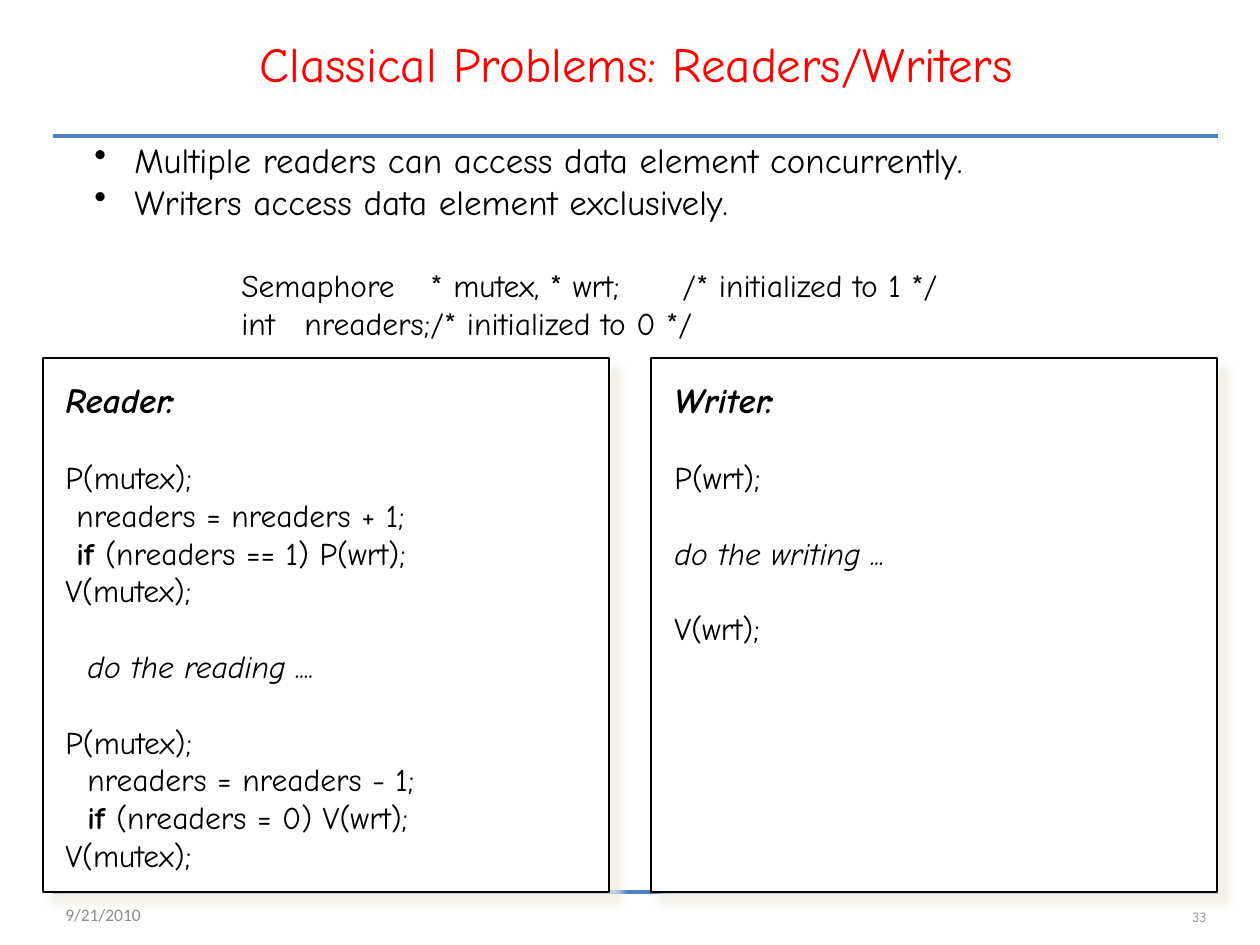
from dataclasses import dataclass

from lxml import etree
from pptx import Presentation
from pptx.dml.color import RGBColor
from pptx.enum.shapes import MSO_CONNECTOR, MSO_SHAPE
from pptx.enum.text import MSO_ANCHOR, PP_ALIGN
from pptx.oxml.ns import qn
from pptx.util import Pt

EMU_PER_PX = 914400 / 126
STRAIGHT = MSO_CONNECTOR.STRAIGHT
RECTANGLE = MSO_SHAPE.RECTANGLE
TOP, MIDDLE = MSO_ANCHOR.TOP, MSO_ANCHOR.MIDDLE
LEFT, CENTER, RIGHT = PP_ALIGN.LEFT, PP_ALIGN.CENTER, PP_ALIGN.RIGHT

BLACK, WHITE, RED, GREY = "000000", "FFFFFF", "FF0000", "8C8C8C"
RULE_BLUE, SHADOW = "4F81BD", "EEECE1"
HAND_FONT = "Comic Neue"
BLANK_LINE = 21.6  # points, one line of 18 point text
SPACE = 11  # px, one code indent step


@dataclass(frozen=True)
class Run:
    text: str
    bold: bool = False
    italic: bool = False


@dataclass(frozen=True)
class Line:
    runs: tuple[Run, ...]
    size: int = 18
    indent: int = 0
    gap_before: float = 0
    bullet: bool = False
    tabs: tuple[int, ...] = ()
    align: PP_ALIGN = LEFT
    font: str = HAND_FONT
    color: str = BLACK


@dataclass(frozen=True)
class Box:
    left: int
    top: int
    width: int
    height: int


@dataclass(frozen=True)
class TextBlock:
    box: Box
    lines: tuple[Line, ...]
    anchor: MSO_ANCHOR = TOP


def px(length: int) -> int:
    return round(length * EMU_PER_PX)


def rgb(color: str) -> RGBColor:
    return RGBColor.from_string(color)


def frame(box: Box) -> tuple[int, ...]:
    return px(box.left), px(box.top), px(box.width), px(box.height)


def code(text: str, **options) -> Line:
    """A line made of a single plain run."""
    return Line((Run(text),), **options)


def heading(text: str) -> Line:
    return Line((Run(text, bold=True, italic=True),), size=20)


def action(text: str, indent: int = 0) -> Line:
    return Line((Run(text, italic=True),), indent=indent, gap_before=BLANK_LINE)


def condition(text: str, indent: int) -> Line:
    return Line((Run("if ", bold=True), Run(text)), indent=indent)


def draw_rule(slide, top: int) -> None:
    rule = slide.shapes.add_connector(STRAIGHT, px(53), px(top), px(1218), px(top))
    rule.line.color.rgb = rgb(RULE_BLUE)
    rule.line.width = Pt(2)
    etree.SubElement(rule._element.spPr, qn("a:effectLst"))


def draw_panel(slide, box: Box) -> None:
    panel = slide.shapes.add_shape(RECTANGLE, *frame(box))
    panel.fill.solid()
    panel.fill.fore_color.rgb = rgb(WHITE)
    panel.line.color.rgb = rgb(BLACK)
    panel.line.width = Pt(1)
    panel.shadow.inherit = False
    effects = panel._element.spPr.find(qn("a:effectLst"))
    shadow = etree.SubElement(
        effects, qn("a:outerShdw"), blurRad=str(Pt(5)), dist=str(Pt(8.5)),
        dir=str(45 * 60000), algn="tl", rotWithShape="0")
    color = etree.SubElement(shadow, qn("a:srgbClr"), val=SHADOW)
    etree.SubElement(color, qn("a:alpha"), val="75000")


def format_paragraph(paragraph, line: Line) -> None:
    paragraph.alignment = line.align
    paragraph.space_before = Pt(line.gap_before)
    properties = paragraph._p.get_or_add_pPr()
    properties.set("marL", str(px(line.indent)))
    properties.set("indent", str(-px(line.indent) if line.bullet else 0))
    if line.bullet:
        etree.SubElement(properties, qn("a:buChar"), char="•")
    if line.tabs:
        tab_list = etree.SubElement(properties, qn("a:tabLst"))
        for stop in line.tabs:
            etree.SubElement(tab_list, qn("a:tab"), pos=str(px(stop)), algn="l")


def draw_text(slide, block: TextBlock) -> None:
    text_frame = slide.shapes.add_textbox(*frame(block.box)).text_frame
    text_frame.word_wrap = True
    text_frame.vertical_anchor = block.anchor
    for index, line in enumerate(block.lines):
        paragraph = text_frame.add_paragraph() if index else text_frame.paragraphs[0]
        format_paragraph(paragraph, line)
        for item in line.runs:
            run = paragraph.add_run()
            run.text = item.text
            run.font.name = line.font
            run.font.size = Pt(line.size)
            run.font.bold = item.bold
            run.font.italic = item.italic
            run.font.color.rgb = rgb(line.color)


RULE_TOPS = (136, 892)
PANELS = tuple(Box(left, 358, 566, 534) for left in (43, 651))

TITLE = TextBlock(Box(53, 0, 1166, 126), (
    code("Classical Problems: Readers/Writers", size=28, align=CENTER, color=RED),
), MIDDLE)

RULES_OF_ACCESS = TextBlock(Box(82, 132, 950, 96), tuple(
    code(text, size=20, indent=40, bullet=True) for text in (
        "Multiple readers can access data element concurrently.",
        "Writers access data element exclusively.",
    )))

DECLARATIONS = TextBlock(Box(229, 260, 759, 88), (
    code("Semaphore\t* mutex, * wrt;\t/* initialized to 1 */", tabs=(186, 395)),
    code("int\tnreaders;\t/* initialized to 0 */", tabs=(201, 433)),
))

READER = TextBlock(Box(53, 372, 567, 508), (
    heading("Reader:"),
    code("P(mutex);", gap_before=BLANK_LINE),
    code("nreaders = nreaders + 1;", indent=SPACE),
    condition("(nreaders == 1) P(wrt);", SPACE),
    code("V(mutex);"),
    action("do the reading ....", 2 * SPACE),
    code("P(mutex);", gap_before=BLANK_LINE),
    code("nreaders = nreaders - 1;", indent=2 * SPACE),
    condition("(nreaders = 0) V(wrt);", 2 * SPACE),
    code("V(mutex);"),
))

WRITER = TextBlock(Box(662, 372, 536, 319), (
    heading("Writer:"),
    code("P(wrt);", gap_before=BLANK_LINE),
    action("do the writing ..."),
    code("V(wrt);", gap_before=BLANK_LINE),
))

DATE = TextBlock(Box(53, 895, 189, 40), (
    code("9/21/2010", size=10, font="Calibri", color=GREY),
), MIDDLE)

SLIDE_NUMBER = TextBlock(Box(1103, 892, 116, 50), (
    code("33", size=8, align=RIGHT, color=GREY),
), MIDDLE)


def main() -> None:
    presentation = Presentation()
    presentation.slide_width, presentation.slide_height = px(1260), px(945)
    slide = presentation.slides.add_slide(presentation.slide_layouts[6])
    for top in RULE_TOPS:
        draw_rule(slide, top)
    for panel in PANELS:
        draw_panel(slide, panel)
    for block in (TITLE, RULES_OF_ACCESS, DECLARATIONS, READER, WRITER,
                  DATE, SLIDE_NUMBER):
        draw_text(slide, block)
    presentation.save("out.pptx")


if __name__ == "__main__":
    main()
